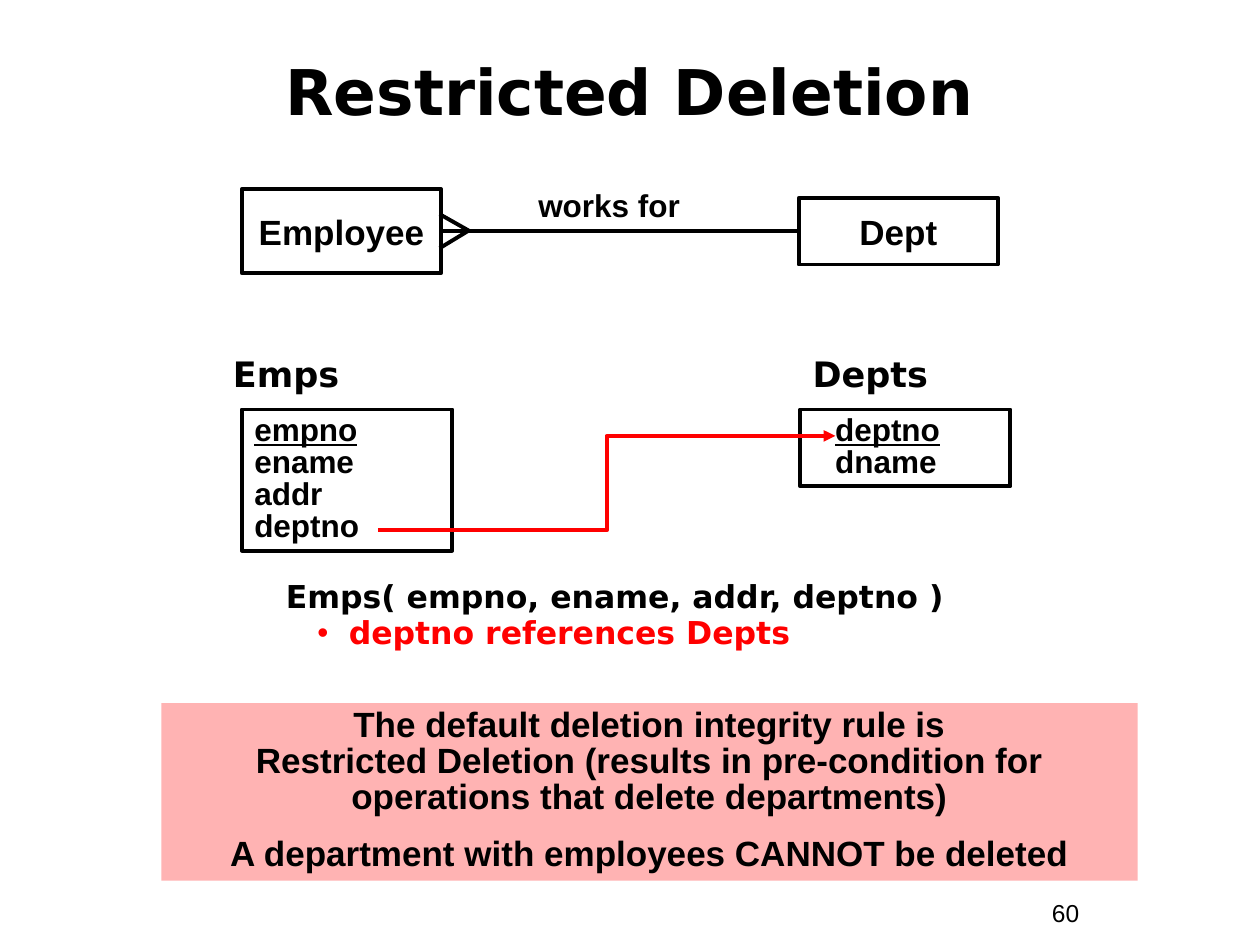
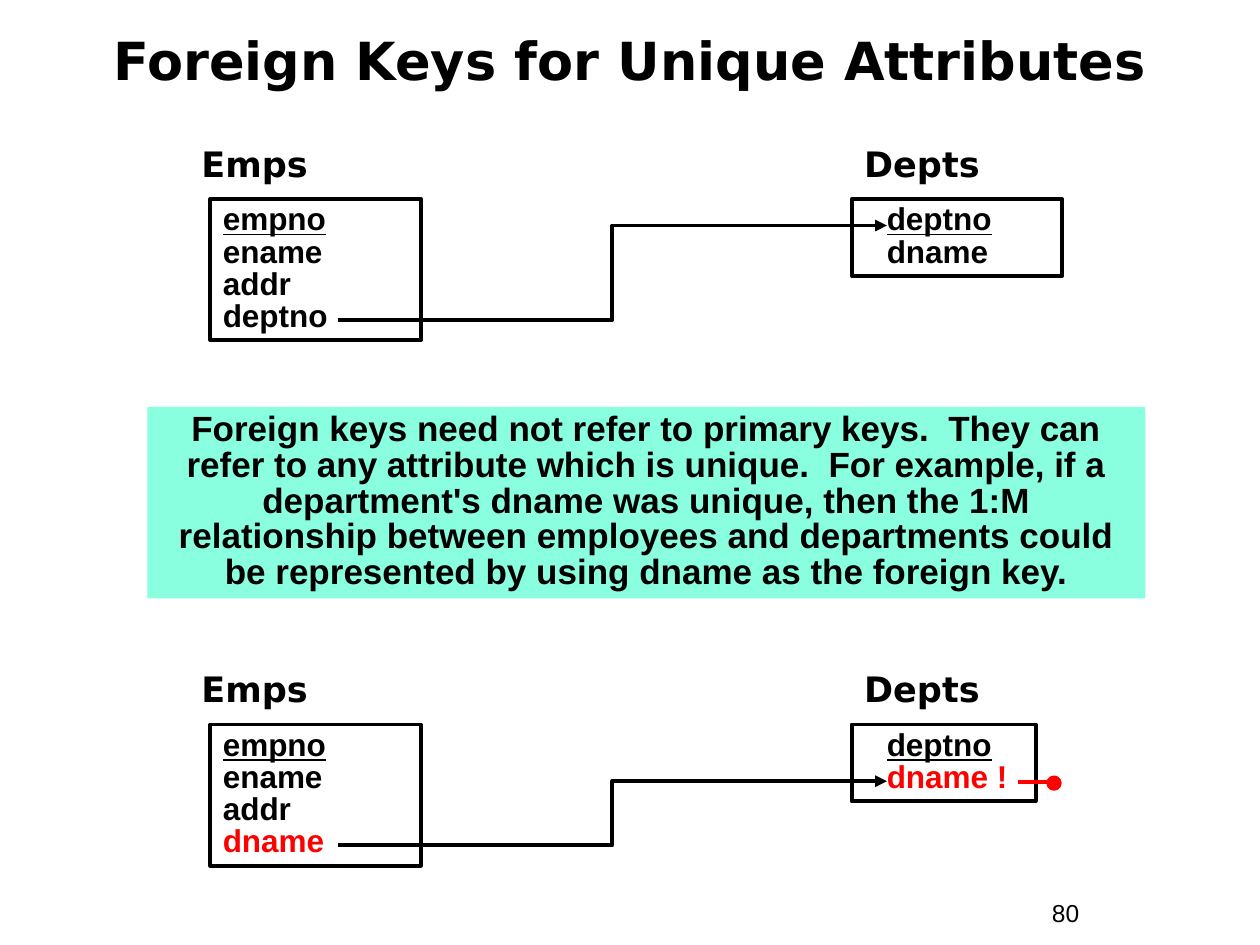
from lxml import etree
from pptx import Presentation
from pptx.dml.color import RGBColor
from pptx.enum.shapes import MSO_CONNECTOR as Connector, MSO_SHAPE as Shape
from pptx.enum.text import MSO_ANCHOR as Anchor, PP_ALIGN as Align
from pptx.oxml.ns import qn
from pptx.util import Inches, Pt

BLACK, RED, PINK, MINT = "000000", "FF0000", "FFB3B3", "89FFE0"
BODY_FONT, HEADING_FONT = "Arial", "DejaVu Sans"
LINE_WIDTH = Pt(2.25)
TIGHT = 0.85
TITLE_ONLY = 5


def color(hex_string):
    return RGBColor.from_string(hex_string)


def add_bullet(paragraph, hex_string):
    properties = paragraph._p.get_or_add_pPr()
    bullet_color = etree.SubElement(properties, qn("a:buClr"))
    etree.SubElement(bullet_color, qn("a:srgbClr")).set("val", hex_string)
    etree.SubElement(properties, qn("a:buFont")).set("typeface", BODY_FONT)
    etree.SubElement(properties, qn("a:buChar")).set("char", "•")


def write(shape, lines, anchor=Anchor.TOP, wrap=True, **shared):
    """Fill a shape; each line is a text or a (text, format changes) pair."""
    frame = shape.text_frame
    frame.word_wrap = wrap
    frame.vertical_anchor = anchor
    for index, line in enumerate(lines):
        text, changes = (line, {}) if isinstance(line, str) else line
        paragraph = frame.paragraphs[0] if index == 0 else frame.add_paragraph()
        format_paragraph(paragraph, text, index == 0, **{**shared, **changes})


def format_paragraph(paragraph, text, is_first, size=18, font=BODY_FONT, ink=BLACK,
                     bold=True, underline=False, align=Align.LEFT, spacing=1.0,
                     before=0, margin=0, hanging=0, bullet=False):
    paragraph.text = text
    paragraph.alignment = align
    paragraph.line_spacing = spacing
    paragraph.space_before = Pt(0 if is_first else before)
    properties = paragraph._p.get_or_add_pPr()
    properties.set("marL", str(Inches(margin)))
    properties.set("indent", str(-Inches(hanging)))
    if bullet:
        add_bullet(paragraph, ink)
    for run in paragraph.runs:
        run.font.size = Pt(size)
        run.font.name = font
        run.font.bold = bold
        run.font.underline = underline
        run.font.color.rgb = color(ink)


def add_text(slide, box, lines, **formats):
    write(slide.shapes.add_textbox(*map(Inches, box)), lines, **formats)


def add_box(slide, box, fill=None, outline=None, kind=Shape.RECTANGLE):
    shape = slide.shapes.add_shape(kind, *map(Inches, box))
    shape.shadow.inherit = False
    if fill:
        shape.fill.solid()
        shape.fill.fore_color.rgb = color(fill)
    else:
        shape.fill.background()
    if outline:
        shape.line.color.rgb = color(outline)
        shape.line.width = LINE_WIDTH
    else:
        shape.line.fill.background()
    return shape


def add_line(slide, start, end, ink=BLACK, kind=Connector.STRAIGHT, arrow=False):
    connector = slide.shapes.add_connector(kind, *map(Inches, start + end))
    connector.line.color.rgb = color(ink)
    connector.line.width = LINE_WIDTH
    if arrow:
        tail = etree.SubElement(connector.line._get_or_add_ln(), qn("a:tailEnd"))
        tail.set("type", "triangle")
    etree.SubElement(connector._element.spPr, qn("a:effectLst"))
    return connector


def add_titled_slide(presentation, title, box, number, size, spacing=1.0):
    slide = presentation.slides.add_slide(presentation.slide_layouts[TITLE_ONLY])
    holder = slide.shapes.title
    holder.left, holder.top, holder.width, holder.height = map(Inches, box)
    write(holder, [title], anchor=Anchor.MIDDLE, size=size, font=HEADING_FONT,
          align=Align.CENTER, spacing=spacing)
    add_text(slide, (8.25, 7.08, 0.92, 0.34), [number], size=14, bold=False)
    return slide


def add_entity(slide, box, name):
    entity = add_box(slide, box, outline=BLACK)
    write(entity, [name], anchor=Anchor.MIDDLE, wrap=False, size=20,
          align=Align.CENTER)
    return entity


def add_relationship(slide, left, top):
    """Two entities joined by a many-to-one line with a crow's foot."""
    employee = add_entity(slide, (left, top, 1.58, 0.67), "Employee")
    dept = add_entity(slide, (left + 4.42, top + 0.07, 1.58, 0.53), "Dept")
    middle = top + 0.33
    for toe in (-0.13, 0.14):
        add_line(slide, (left + 1.8, middle), (left + 1.57, middle + toe))
    link = add_line(slide, (left + 4.42, middle), (left + 1.58, middle))
    link.begin_connect(dept, 1)
    link.end_connect(employee, 3)
    add_text(slide, (left + 2.08, top - 0.07, 1.67, 0.4), ["works for"],
             align=Align.CENTER)


def add_table_sketch(slide, box, name, name_shift, columns, margin=0):
    left, top = box[:2]
    add_text(slide, (left + name_shift, top - 0.5, 2.15, 0.44), [name],
             size=20, font=HEADING_FONT)
    key, *others = columns
    write(add_box(slide, box, outline=BLACK), [(key, {"underline": True}), *others],
          spacing=TIGHT, margin=margin)


def add_foreign_key(slide, left, top, depts_left, foreign_key="deptno",
                    unique="dname", depts_width=1.67, arrow_ink=BLACK,
                    arrow_start=1.01, target_row=0.21):
    """Emps and Depts with an arrow from the foreign key to its target."""
    add_table_sketch(slide, (left, top, 1.67, 1.12), "Emps", -0.17,
                     ["empno", "ename", "addr", foreign_key])
    add_table_sketch(slide, (depts_left, top, depts_width, 0.61), "Depts", 0,
                     ["deptno", unique], margin=0.18)
    add_line(slide, (left + arrow_start, top + 0.96),
             (depts_left + 0.28, top + target_row), arrow_ink,
             Connector.ELBOW, arrow=True)


def add_unique_marker(slide, left, middle):
    add_box(slide, (left + 0.24, middle - 0.04, 0.09, 0.09), RED, RED, Shape.OVAL)
    add_line(slide, (left + 0.25, middle), (left, middle), RED)


def add_note(slide, box, fill, lines):
    write(add_box(slide, box, fill=fill), lines, size=20, align=Align.CENTER,
          spacing=TIGHT, before=12.5)


def build_restricted_deletion(presentation):
    slide = add_titled_slide(presentation, "Restricted Deletion",
                             (0.33, 0.3, 9.33, 0.92), "60", 36, TIGHT)
    add_relationship(slide, 1.92, 1.5)
    add_foreign_key(slide, 1.92, 3.25, 6.35, arrow_ink=RED, arrow_start=1.08)
    reference = {"ink": RED, "margin": 0.5, "hanging": 0.25, "bullet": True}
    add_text(slide, (2.17, 4.58, 5.83, 0.93),
             ["Emps( empno, ename, addr, deptno )",
              ("deptno references Depts", reference)],
             font=HEADING_FONT, spacing=TIGHT, before=2.2)
    add_note(slide, (1.28, 5.58, 7.75, 1.41), PINK,
             ["The default deletion integrity rule is\vRestricted Deletion "
              "(results in pre-condition for operations that delete departments)",
              "A department with employees CANNOT be deleted"])


def build_unique_attributes(presentation):
    slide = add_titled_slide(presentation, "Foreign Keys for Unique Attributes",
                             (0.25, 0.18, 9.5, 0.58), "80", 30)
    add_foreign_key(slide, 1.67, 1.58, 6.76)
    add_note(slide, (1.17, 3.23, 7.92, 1.52), MINT,
             ["Foreign keys need not refer to primary keys.  They can refer to any "
              "attribute which is unique.  For example, if a department's dname was "
              "unique, then the 1:M relationship between employees and departments "
              "could be represented by using dname as the foreign key."])
    add_foreign_key(slide, 1.67, 5.75, 6.76, ("dname", {"ink": RED}),
                    ("dname !", {"ink": RED}), depts_width=1.46, target_row=0.45)
    add_unique_marker(slide, 8.08, 6.21)


def main():
    presentation = Presentation()
    presentation.slide_width, presentation.slide_height = Inches(10), Inches(7.5)
    build_restricted_deletion(presentation)
    build_unique_attributes(presentation)
    presentation.save("out.pptx")


if __name__ == "__main__":
    main()
